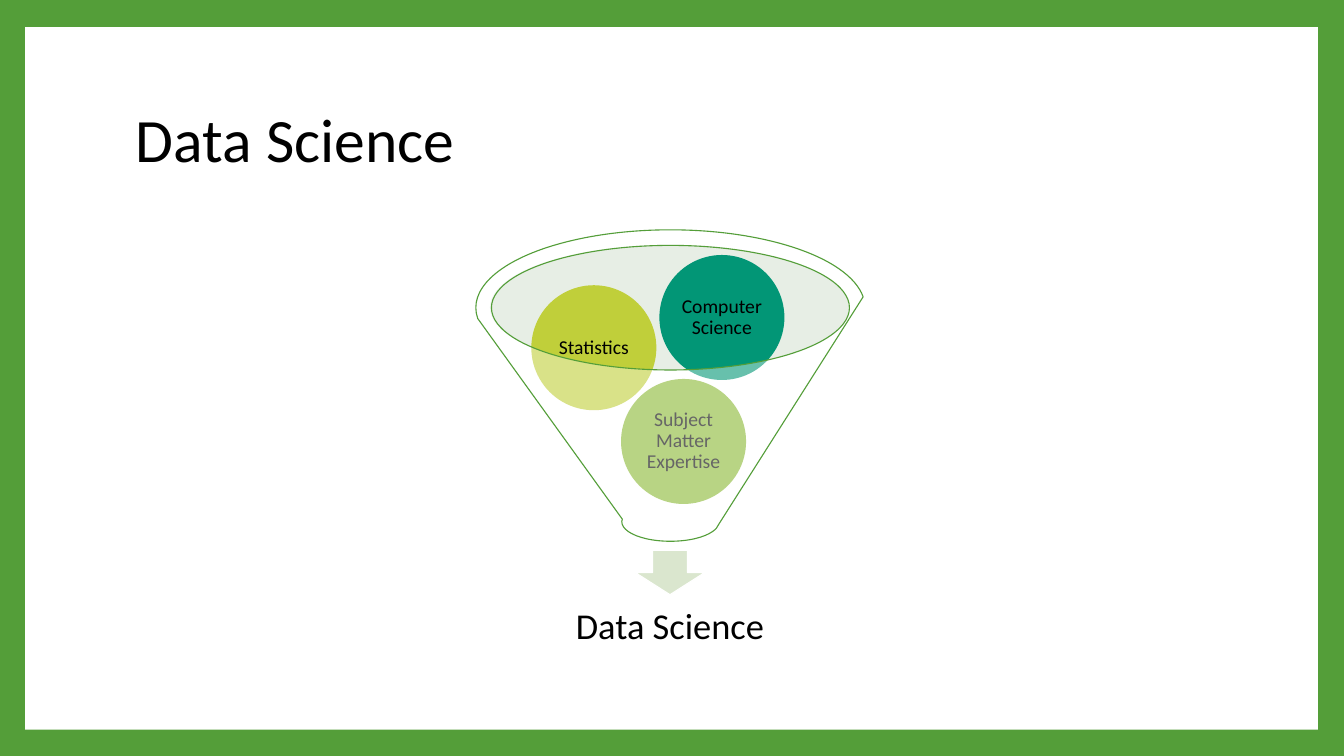
"""Build the Data Science funnel slide."""
from dataclasses import dataclass

from lxml import etree
from pptx import Presentation
from pptx.dml.color import RGBColor
from pptx.enum.shapes import MSO_SHAPE
from pptx.enum.text import MSO_ANCHOR, PP_ALIGN
from pptx.oxml.ns import qn
from pptx.util import Inches, Pt

RECTANGLE, OVAL = MSO_SHAPE.RECTANGLE, MSO_SHAPE.OVAL
DOWN_ARROW, FUNNEL = MSO_SHAPE.DOWN_ARROW, MSO_SHAPE.FUNNEL
MIDDLE = MSO_ANCHOR.MIDDLE
LEFT, CENTER = PP_ALIGN.LEFT, PP_ALIGN.CENTER


@dataclass(frozen=True)
class Theme:
    """Colours, font and type sizes of the slide."""
    font: str = "Calibri"
    ink: str = "000000"
    paper: str = "FFFFFF"
    green: str = "549E39"
    mouth: str = "C3D6BF"
    arrow: str = "DAE6CE"
    lime: str = "8AB833"
    yellow: str = "C0CF3A"
    teal: str = "029676"
    title_size: int = 44
    result_size: int = 26
    ball_size: int = 14
    outline: float = 0.79


THEME = Theme()
BALL_DIAMETER = 1.24
INGREDIENTS = [
    ("Subject Matter Expertise", 6.16, 3.76, THEME.lime),
    ("Statistics", 5.27, 2.83, THEME.yellow),
    ("Computer Science", 6.54, 2.53, THEME.teal),
]


def apply_format(target, values):
    """Set each attribute of the target from a dict of format values."""
    for name, value in values.items():
        setattr(target, name, value)


def write_text(shape, text, size, align, inset):
    """Fill a shape with one vertically centred paragraph."""
    frame = shape.text_frame
    margins = {f"margin_{side}": Inches(gap)
               for side, gap in zip(("left", "right", "top", "bottom"), inset)}
    apply_format(frame, {"word_wrap": True, "vertical_anchor": MIDDLE, **margins})
    paragraph = frame.paragraphs[0]
    apply_format(paragraph, {"alignment": align, "line_spacing": 0.9})
    run = paragraph.add_run()
    run.text = text
    apply_format(run.font, {"name": THEME.font, "size": Pt(size)})
    run.font.color.rgb = RGBColor.from_string(THEME.ink)


def add_figure(slide, preset, box, fill, line=None, opacity=None):
    """Add a flat preset shape, outlined or see-through on request."""
    figure = slide.shapes.add_shape(preset, *map(Inches, box))
    figure.shadow.inherit = False
    figure.fill.solid()
    figure.fill.fore_color.rgb = RGBColor.from_string(fill)
    if opacity is not None:
        color = figure.fill._xPr.find(qn("a:solidFill"))[0]
        etree.SubElement(color, qn("a:alpha"), val=str(opacity * 1000))
    if line:
        figure.line.color.rgb = RGBColor.from_string(line)
        figure.line.width = Pt(THEME.outline)
    else:
        figure.line.fill.background()
    return figure


def add_label(slide, text, box, size, align, inset):
    """Add a text box holding one line of text."""
    label = slide.shapes.add_textbox(*map(Inches, box))
    write_text(label, text, size, align, inset)


def add_ball(slide, text, left, top, fill):
    """Add one ingredient ball with its name inside."""
    box = (left, top, BALL_DIAMETER, BALL_DIAMETER)
    ball = add_figure(slide, OVAL, box, fill)
    write_text(ball, text, THEME.ball_size, CENTER, (0.02,) * 4)


def main():
    """Build and save the slide."""
    deck = Presentation()
    apply_format(deck, {"slide_width": Inches(13.33), "slide_height": Inches(7.5)})
    slide = deck.slides.add_slide(deck.slide_layouts[6])
    slide.background.fill.solid()
    slide.background.fill.fore_color.rgb = RGBColor.from_string(THEME.green)

    add_figure(slide, RECTANGLE, (0.25, 0.27, 12.82, 6.97), THEME.paper)
    add_label(slide, "Data Science", (1.25, 0.67, 10.8, 1.48),
              THEME.title_size, LEFT, (0.1, 0.1, 0.05, 0.05))
    add_figure(slide, OVAL, (4.86, 2.43, 3.56, 1.24), THEME.mouth, opacity=40)
    add_figure(slide, DOWN_ARROW, (6.3, 5.46, 0.69, 0.44), THEME.arrow, THEME.paper)
    add_label(slide, "Data Science", (4.99, 5.81, 3.31, 0.83),
              THEME.result_size, CENTER, (0.2,) * 4)
    for ingredient in INGREDIENTS:
        add_ball(slide, *ingredient)
    add_figure(slide, FUNNEL, (4.72, 2.28, 3.86, 3.09), THEME.paper, THEME.green, 40)

    deck.save("out.pptx")


if __name__ == "__main__":
    main()
